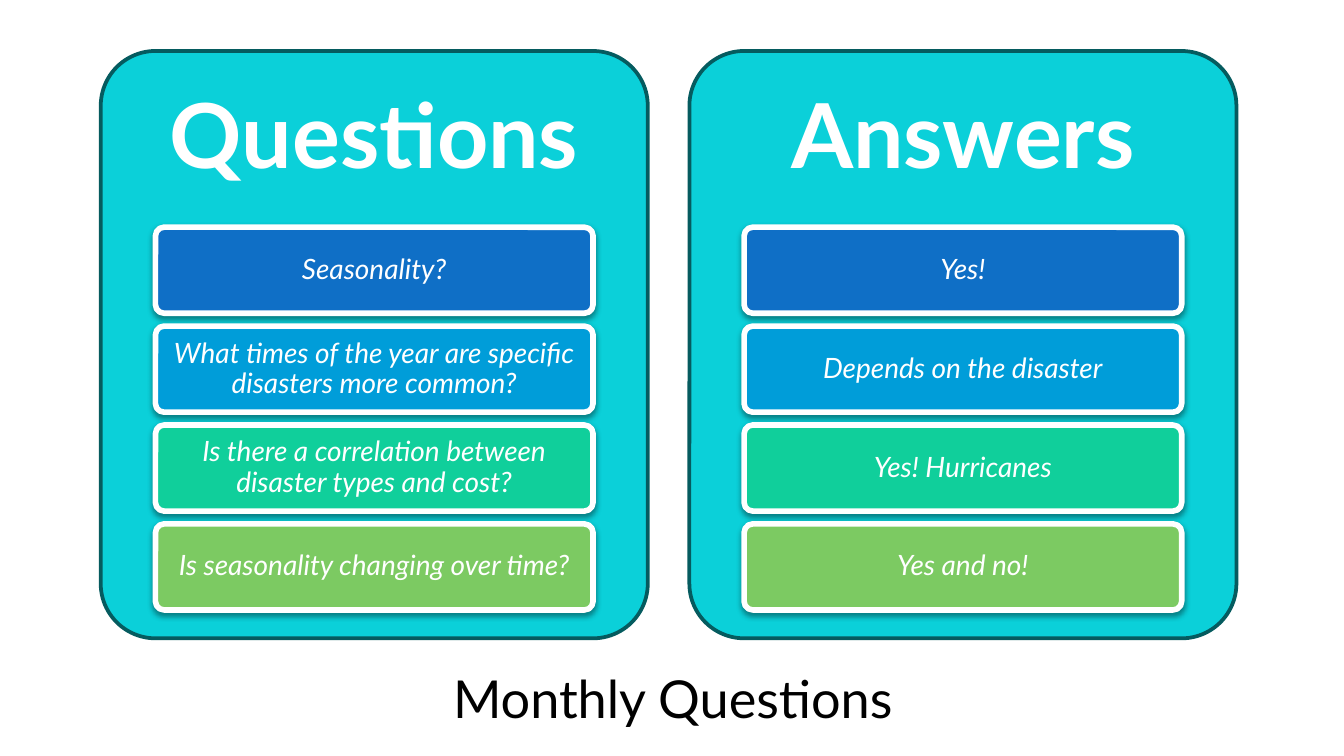
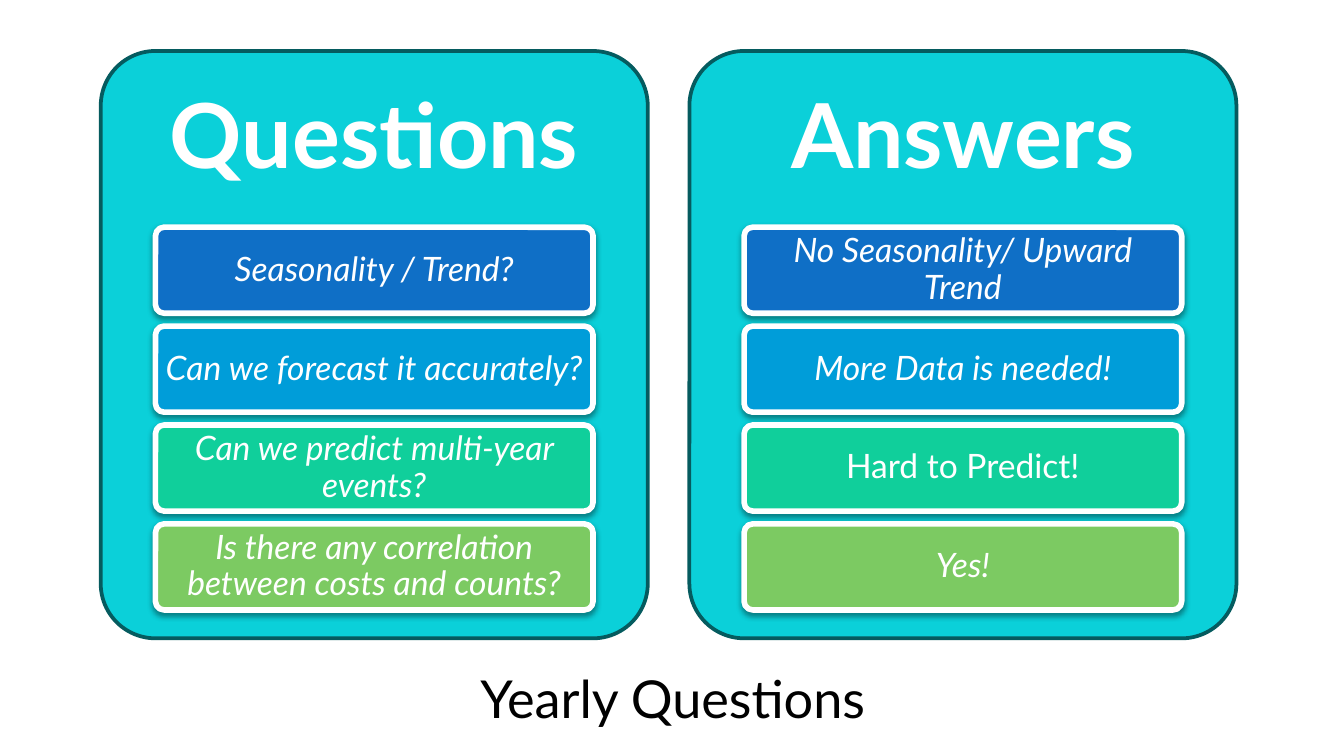
import pptx
import pptx.util
import pptx.dml.color
import pptx.enum.shapes
import pptx.enum.text
import pptx.oxml
import pptx.oxml.ns

Inches = pptx.util.Inches
RGBColor = pptx.dml.color.RGBColor
ANCHOR = pptx.enum.text.MSO_ANCHOR

# Shared look
FONT = "Lato"
WHITE = RGBColor(0xFF, 0xFF, 0xFF)
BLACK = RGBColor(0x00, 0x00, 0x00)
PANEL_FILL = RGBColor(0x0B, 0xD0, 0xD9)
PANEL_LINE = RGBColor(0x05, 0x5B, 0x5F)
ROW_FILLS = [
    RGBColor(0x0F, 0x6F, 0xC6),
    RGBColor(0x00, 0x9D, 0xD9),
    RGBColor(0x10, 0xCF, 0x9B),
    RGBColor(0x7C, 0xCA, 0x62),
]
CARD_SHADOW = (
    f'<a:outerShdw {pptx.oxml.ns.nsdecls("a")} blurRad="39370" dist="20320" '
    'dir="5400000" rotWithShape="0"><a:srgbClr val="000000">'
    '<a:alpha val="38000"/></a:srgbClr></a:outerShdw>'
)

# Grid in inches: two panels across, four cards down each
PANEL_LEFT, PANEL_TOP, PANEL_WIDTH, PANEL_HEIGHT = 0.75, 0.38, 4.07, 4.37
COLUMN_STEP = 4.38
HEADING_HEIGHT = 0.3 * PANEL_HEIGHT
CARD_WIDTH, CARD_HEIGHT = 0.8 * PANEL_WIDTH, 0.64
CARD_INDENT = (PANEL_WIDTH - CARD_WIDTH) / 2
CARD_TOP = PANEL_TOP + HEADING_HEIGHT
ROW_STEP = CARD_HEIGHT * 1.15

HEADINGS = ["Questions", "Answers"]
UPRIGHT = {"Hard to Predict!"}

# Title, card text size, card insets (side, top and bottom), rows of cards
SLIDES = [
    ("Monthly Questions", 15, (0.04, 0.03), [
        ("Seasonality?", "Yes!"),
        ("What times of the year are specific disasters more common?",
         "Depends on the disaster"),
        ("Is there a correlation between disaster types and cost?",
         "Yes! Hurricanes"),
        ("Is seasonality changing over time?", "Yes and no!"),
    ]),
    ("Yearly Questions", 18, (0.05, 0.04), [
        ("Seasonality / Trend?", "No Seasonality/ Upward Trend"),
        ("Can we forecast it accurately?", "More Data is needed!"),
        ("Can we predict multi-year events?", "Hard to Predict!"),
        ("Is there any correlation between costs and counts?", "Yes!"),
    ]),
]


def add_rounded(page, left, top, width, height, fill, line, line_width):
    box = page.shapes.add_shape(
        pptx.enum.shapes.MSO_SHAPE.ROUNDED_RECTANGLE,
        Inches(left), Inches(top), Inches(width), Inches(height))
    box.adjustments[0] = 0.1
    box.shadow.inherit = False
    box.fill.solid()
    box.fill.fore_color.rgb = fill
    box.line.color.rgb = line
    box.line.width = pptx.util.Pt(line_width)
    return box


def write(box, text, size, color, insets, anchor=ANCHOR.MIDDLE,
          spacing=0.9, bold=False, italic=False):
    frame = box.text_frame
    frame.word_wrap = True
    frame.vertical_anchor = anchor
    frame.margin_left = frame.margin_right = Inches(insets[0])
    frame.margin_top = frame.margin_bottom = Inches(insets[1])
    para = frame.paragraphs[0]
    para.alignment = pptx.enum.text.PP_ALIGN.CENTER
    para.line_spacing = spacing
    span = para.add_run()
    span.text = text
    span.font.name = FONT
    span.font.size = pptx.util.Pt(size)
    span.font.color.rgb = color
    span.font.bold = bold
    span.font.italic = italic


deck = pptx.Presentation()
deck.slide_width = Inches(10)
deck.slide_height = deck.slide_width * 9 // 16

for title, card_size, card_insets, rows in SLIDES:
    page = deck.slides.add_slide(deck.slide_layouts[6])

    for column, heading in enumerate(HEADINGS):
        # Panel with its heading
        left = PANEL_LEFT + column * COLUMN_STEP
        add_rounded(page, left, PANEL_TOP, PANEL_WIDTH, PANEL_HEIGHT,
                    PANEL_FILL, PANEL_LINE, 2)
        box = page.shapes.add_textbox(
            Inches(left), Inches(PANEL_TOP),
            Inches(PANEL_WIDTH), Inches(HEADING_HEIGHT))
        write(box, heading, 48, WHITE, (0.2, 0.2), bold=True)

        # Cards
        for row, (texts, fill) in enumerate(zip(rows, ROW_FILLS)):
            card = add_rounded(page, left + CARD_INDENT, CARD_TOP + row * ROW_STEP,
                               CARD_WIDTH, CARD_HEIGHT, fill, WHITE, 3)
            effects = card.element.spPr.find(pptx.oxml.ns.qn("a:effectLst"))
            effects.append(pptx.oxml.parse_xml(CARD_SHADOW))
            write(card, texts[column], card_size, WHITE, card_insets,
                  italic=texts[column] not in UPRIGHT)

    # Title below the panels
    box = page.shapes.add_textbox(
        Inches(1.02), Inches(4.86), Inches(7.97), Inches(0.76))
    write(box, title, 28, BLACK, (0.1, 0.1), anchor=ANCHOR.TOP, spacing=1.0)

deck.save("out.pptx")
